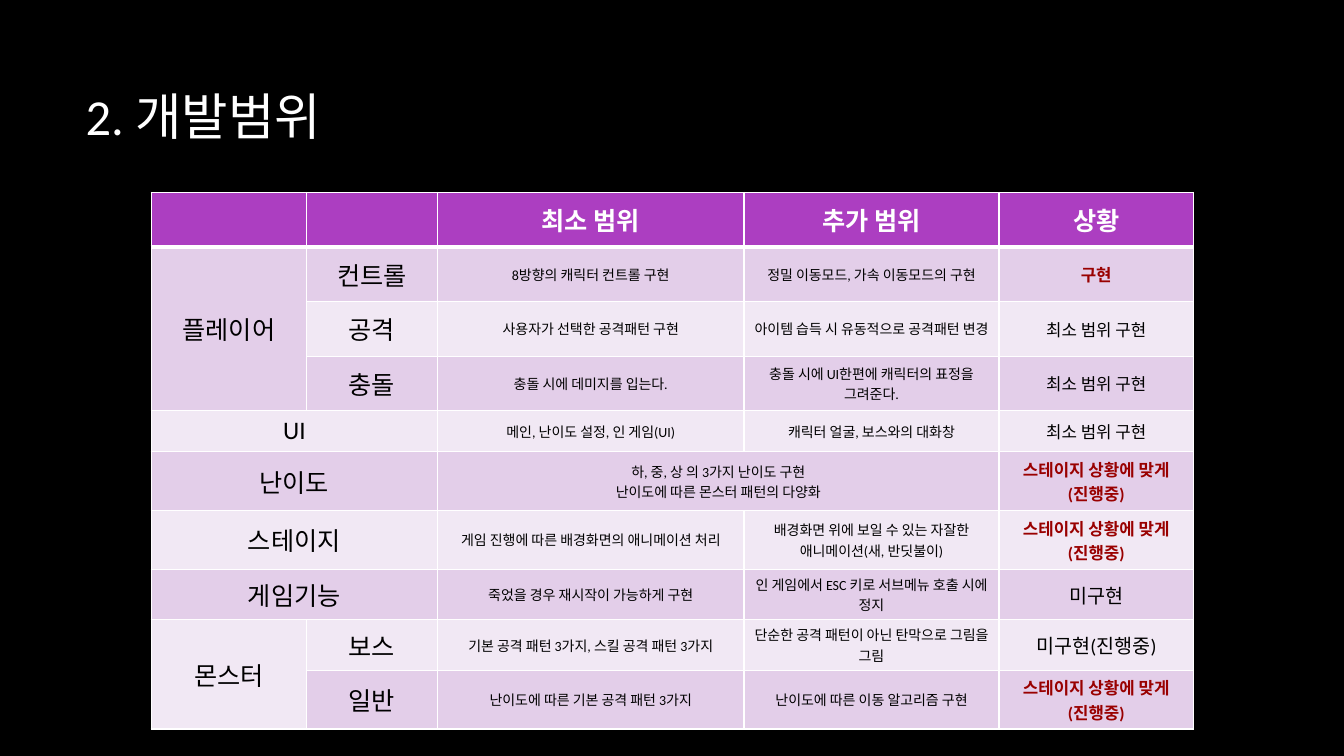
from lxml import etree
from pptx import Presentation
from pptx.dml.color import RGBColor
from pptx.enum.text import MSO_ANCHOR, PP_ALIGN
from pptx.oxml.ns import qn
from pptx.util import Pt

CENTER = PP_ALIGN.CENTER
LEFT = PP_ALIGN.LEFT
MIDDLE = MSO_ANCHOR.MIDDLE
FONT = "Calibri"
BLACK = "000000"
WHITE = "FFFFFF"
RED = "990000"
HEADER_FILL = "AC3EC1"
BAND_FILLS = ("F1E8F4", "E3CEE9")

COLUMN_WIDTHS = (110.9, 93.6, 218.9, 182.2, 139)
ROW_HEIGHTS = (39, 39, 39, 39, 29, 42, 42, 36, 36, 42)
MERGES = (((1, 0), (3, 0)), ((8, 0), (9, 0)), ((5, 2), (5, 3)),
          *(((row, 0), (row, 1)) for row in range(4, 8)))

HEADINGS = ("", "", "최소 범위", "추가 범위", "상황")
MINIMUM_DONE = ("최소 범위 구현", 12, BLACK)
BY_STAGE = ("스테이지 상황에 맞게\n(진행중)", 12, RED)
SCOPE_ROWS = (
    ("플레이어", "컨트롤", "8방향의 캐릭터 컨트롤 구현",
     "정밀 이동모드, 가속 이동모드의 구현", ("구현", 12, RED)),
    ("", "공격", "사용자가 선택한 공격패턴 구현",
     "아이템 습득 시 유동적으로 공격패턴 변경", MINIMUM_DONE),
    ("", "충돌", "충돌 시에 데미지를 입는다.",
     "충돌 시에 UI한편에 캐릭터의 표정을 그려준다.", MINIMUM_DONE),
    ("UI", "", "메인, 난이도 설정, 인 게임(UI)",
     "캐릭터 얼굴, 보스와의 대화창", MINIMUM_DONE),
    ("난이도", "", "하, 중, 상 의 3가지 난이도 구현\n난이도에 따른 몬스터 패턴의 다양화",
     "", BY_STAGE),
    ("스테이지", "", "게임 진행에 따른 배경화면의 애니메이션 처리",
     "배경화면 위에 보일 수 있는 자잘한 애니메이션(새, 반딧불이)", BY_STAGE),
    ("게임기능", "", "죽었을 경우 재시작이 가능하게 구현",
     "인 게임에서 ESC 키로 서브메뉴 호출 시에 정지", ("미구현", 14, BLACK)),
    ("몬스터", "보스", "기본 공격 패턴 3가지, 스킬 공격 패턴 3가지",
     "단순한 공격 패턴이 아닌 탄막으로 그림을 그림", ("미구현(진행중)", 14, BLACK)),
    ("", "일반", "난이도에 따른 기본 공격 패턴 3가지",
     "난이도에 따른 이동 알고리즘 구현", BY_STAGE),
)


def color(value):
    """Return the colour of a hex string."""
    return RGBColor.from_string(value)


def write_text(frame, text, size, text_color, bold=False, alignment=CENTER):
    """Fill a text frame with one formatted run per line."""
    for index, line in enumerate(text.split("\n")):
        paragraph = frame.add_paragraph() if index else frame.paragraphs[0]
        paragraph.alignment = alignment
        run = paragraph.add_run()
        run.text = line
        run.font.name = FONT
        run.font.size = Pt(size)
        run.font.bold = bold
        run.font.color.rgb = color(text_color)


def set_borders(cell, top, bottom):
    """Draw white cell borders with the given top and bottom widths."""
    properties = cell._tc.get_or_add_tcPr()
    for side, width in (("L", 1), ("R", 1), ("T", top), ("B", bottom)):
        line = etree.SubElement(properties, qn(f"a:ln{side}"), w=str(Pt(width)))
        fill = etree.SubElement(line, qn("a:solidFill"))
        etree.SubElement(fill, qn("a:srgbClr"), val=WHITE)


def format_cell(cell, row):
    """Give a cell the borders, fill and anchor of its row."""
    set_borders(cell, 3 if row == 1 else 1, 3 if row == 0 else 1)
    cell.fill.solid()
    cell.fill.fore_color.rgb = color(BAND_FILLS[row % 2] if row else HEADER_FILL)
    cell.vertical_anchor = MIDDLE


def add_title(slide, text):
    """Place and format the slide title."""
    title = slide.shapes.title
    title.left, title.top, title.width, title.height = Pt(54), Pt(48), Pt(798), Pt(114.5)
    frame = title.text_frame
    frame.vertical_anchor = MIDDLE
    frame.margin_bottom = Pt(50)
    write_text(frame, text, 36, WHITE, alignment=LEFT)


def add_scope_table(slide):
    """Add the table of development scope and progress."""
    table = slide.shapes.add_table(
        len(ROW_HEIGHTS), len(COLUMN_WIDTHS), Pt(108), Pt(137.5),
        Pt(sum(COLUMN_WIDTHS)), Pt(sum(ROW_HEIGHTS))).table
    for column, width in zip(table.columns, COLUMN_WIDTHS):
        column.width = Pt(width)
    for row, height in enumerate(ROW_HEIGHTS):
        table.rows[row].height = Pt(height)
        for column in range(len(COLUMN_WIDTHS)):
            format_cell(table.cell(row, column), row)
    for first, last in MERGES:
        table.cell(*first).merge(table.cell(*last))

    rows = [[(text, 18, WHITE) for text in HEADINGS]]
    for category, item, minimum, extra, status in SCOPE_ROWS:
        rows.append([(category, 18, BLACK), (item, 18, BLACK),
                     (minimum, 10, BLACK), (extra, 10, BLACK), status])
    for row, entries in enumerate(rows):
        for column, (text, size, text_color) in enumerate(entries):
            if text:
                write_text(table.cell(row, column).text_frame, text, size,
                           text_color, bold=text_color != BLACK)


def main():
    """Build and save the presentation."""
    presentation = Presentation()
    presentation.slide_width, presentation.slide_height = Pt(960), Pt(540)
    slide = presentation.slides.add_slide(presentation.slide_layouts[5])
    slide.background.fill.solid()
    slide.background.fill.fore_color.rgb = color(BLACK)
    add_title(slide, "2. 개발범위")
    add_scope_table(slide)
    presentation.save("out.pptx")


if __name__ == "__main__":
    main()
